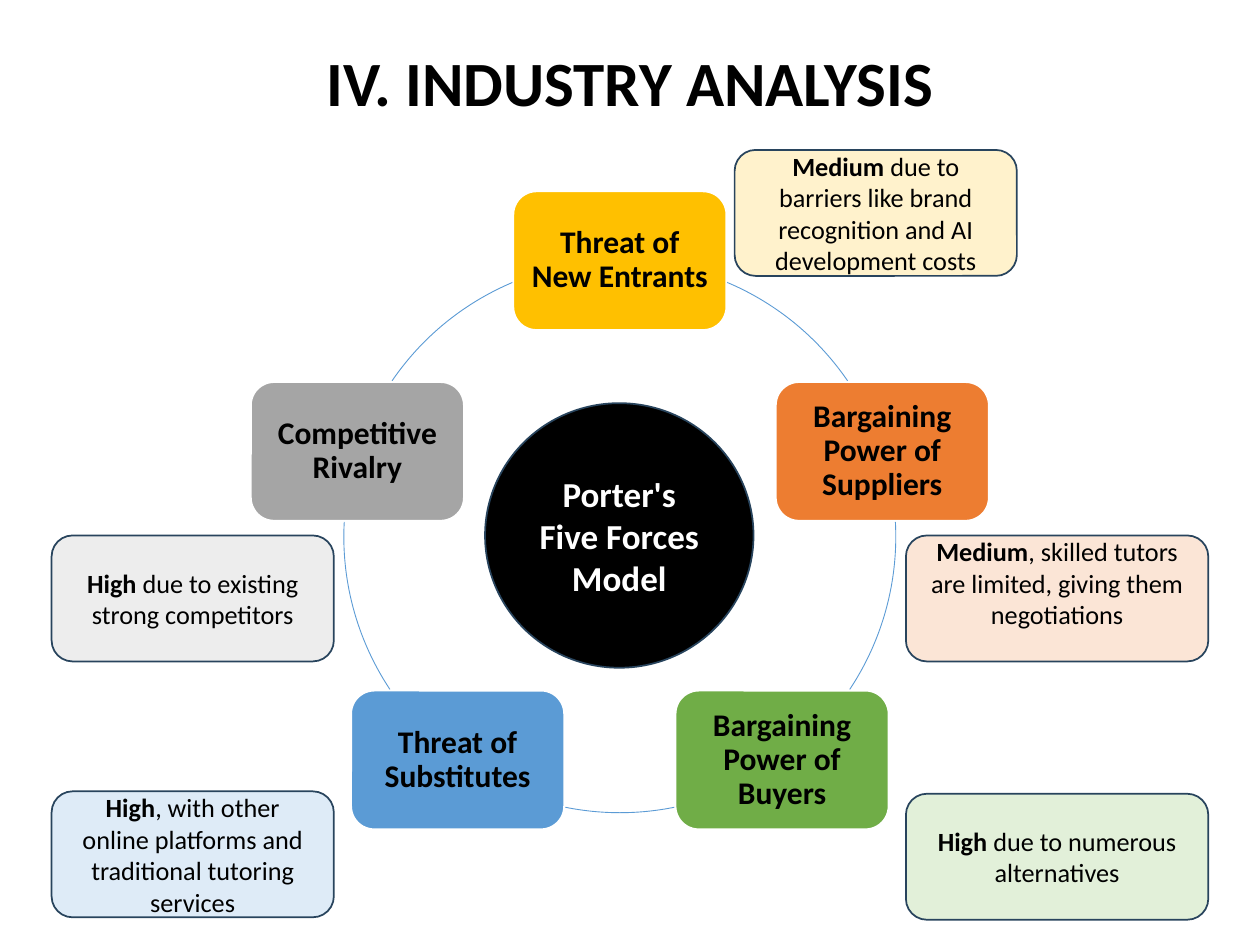
from math import cos, radians, sin

from pptx import Presentation
from pptx.dml.color import RGBColor
from pptx.enum import shapes, text
from pptx.util import Pt

KIND = shapes.MSO_SHAPE
MID = (354.2, 306.7)
RING = 157.7
FORCES = [
    ("Threat of New Entrants", "FFC000"),
    ("Bargaining Power of Suppliers", "ED7D31"),
    ("Bargaining Power of Buyers", "70AD47"),
    ("Threat of Substitutes", "5B9BD5"),
    ("Competitive Rivalry", "A5A5A5"),
]
ARCS = [(292.8, 325.6), (356.9, 33.6), (78.6, 101.4), (146.4, 183.1), (214.4, 247.2)]
NOTES = [
    ((419.8, 85.7, 161.3), "FFF2CC", "Medium",
     " due to barriers like brand recognition and AI development costs", 3.6),
    ((517.7, 306, 172.8), "FBE5D6", "Medium",
     ", skilled tutors are limited, giving them negotiations", 21.6),
    ((517.7, 453.6, 172.8), "E2F0D9", "High", " due to numerous alternatives", 3.6),
    ((29.5, 452.2, 161.3), "DEEBF7", "High",
     ", with other online platforms and traditional tutoring services", 3.6),
    ((29.5, 306, 161.3), "EDEDED", "High", " due to existing strong competitors", 3.6),
]


def tint(code):
    return RGBColor.from_string(code)


def style(item, values):
    for name, value in values.items():
        setattr(item, name, value)


def write(frame, runs, size, color="000000", space=1.0):
    para = frame.paragraphs[0]
    style(para, {"alignment": text.PP_ALIGN.CENTER, "line_spacing": space})
    for words, bold in runs:
        run = para.add_run()
        run.text = words
        style(run.font, {"size": Pt(size), "name": "Calibri", "bold": bold})
        run.font.color.rgb = tint(color)


def draw(slide, kind, box, fill, line, width=1):
    shape = slide.shapes.add_shape(kind, *map(Pt, box))
    shape.shadow.inherit = False
    if fill:
        shape.fill.solid()
        shape.fill.fore_color.rgb = tint(fill)
    else:
        shape.fill.background()
    shape.line.color.rgb = tint(line)
    shape.line.width = Pt(width)
    style(shape.text_frame, {"word_wrap": True, "vertical_anchor": text.MSO_ANCHOR.MIDDLE})
    return shape


def head(slide):
    title = slide.shapes.title
    style(title, {"left": Pt(127.4), "top": Pt(14.4), "width": Pt(465.1), "height": Pt(57.6)})
    title.text_frame.vertical_anchor = text.MSO_ANCHOR.BOTTOM
    write(title.text_frame, [("IV. INDUSTRY ANALYSIS", True)], 36, space=0.9)


def arc(slide, start, end):
    box = (MID[0] - RING, MID[1] - RING, 2 * RING, 2 * RING)
    shape = draw(slide, KIND.ARC, box, None, "5B9BD5", 0.5)
    for spot, angle in enumerate((start, end)):
        shape.adjustments[spot] = angle * 0.6


def force(slide, spot, words, fill):
    angle = radians(72 * spot - 90)
    wide, high = 121.7, 79.2
    left = MID[0] + RING * cos(angle) - wide / 2
    top = MID[1] + RING * sin(angle) - high / 2
    shape = draw(slide, KIND.ROUNDED_RECTANGLE, (left, top, wide, high), fill, "FFFFFF")
    sides = ("left", "top", "right", "bottom")
    style(shape.text_frame, {f"margin_{side}": Pt(5) for side in sides})
    write(shape.text_frame, [(words, True)], 18, space=0.9)


def note(slide, place, fill, level, reason, foot):
    shape = draw(slide, KIND.ROUNDED_RECTANGLE, (*place, 72), fill, "28445D")
    shape.text_frame.margin_bottom = Pt(foot)
    write(shape.text_frame, [(level, True), (reason, False)], 15)


def main():
    deck = Presentation()
    style(deck, {"slide_width": Pt(720), "slide_height": Pt(540)})
    slide = deck.slides.add_slide(deck.slide_layouts[5])
    head(slide)
    for ends in ARCS:
        arc(slide, *ends)
    for spot, (words, fill) in enumerate(FORCES):
        force(slide, spot, words, fill)
    hub = draw(slide, KIND.OVAL, (277.2, 230.4, 153.4, 151.2), "000000", "28445D")
    write(hub.text_frame, [("Porter's Five Forces Model", True)], 20, "FFFFFF")
    for row in NOTES:
        note(slide, *row)
    deck.save("out.pptx")


if __name__ == "__main__":
    main()
